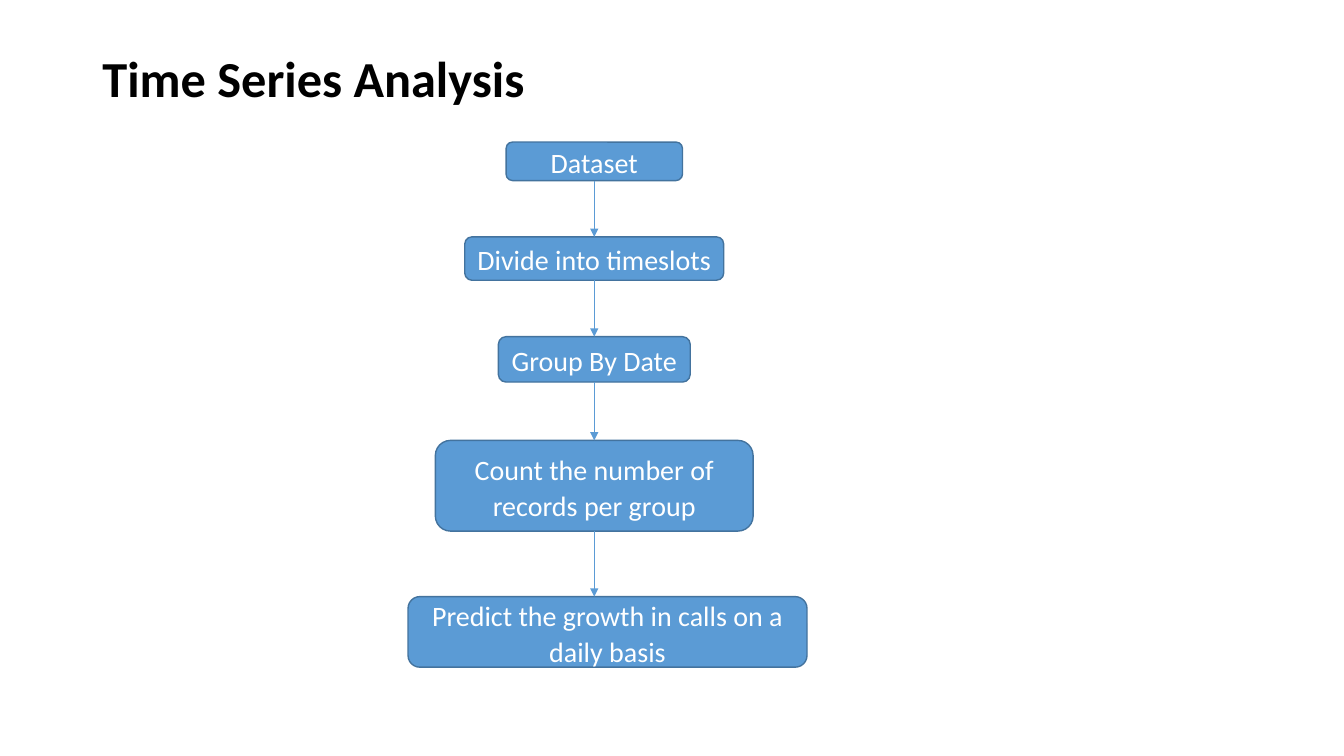
from itertools import pairwise

from lxml import etree
from pptx import Presentation
from pptx.dml.color import RGBColor
from pptx.enum import shapes, text
from pptx.oxml import ns
from pptx.util import Pt

HUES = {"fill": "5B9BD5", "edge": "43739E", "title": "000000", "label": "FFFFFF"}
ALT = shapes.MSO_SHAPE.FLOWCHART_ALTERNATE_PROCESS
ROUND = shapes.MSO_SHAPE.ROUNDED_RECTANGLE
AXIS = 424.5  # centre line of the flow

# label, shape, centre, top, width, height, space before
STEPS = [
    ("Dataset", ALT, AXIS, 101.5, 126, 27.5, 10),
    ("Divide into timeslots", ALT, AXIS, 169.2, 185, 31, 0),
    ("Group By Date", ROUND, AXIS, 240.5, 137, 32.4, 0),
    ("Count the number of records per group", ROUND, AXIS, 314.6, 227, 64.8, 0),
    ("Predict the growth in calls on a daily basis", ALT, 434, 426.2, 285, 50.4, 0),
]


def hue(name):
    return RGBColor.from_string(HUES[name])


def apply(item, style):
    for key, value in style.items():
        setattr(item, key, value)


def write(shape, words, font, para):
    frame = shape.text_frame
    apply(frame, {"text": words, "word_wrap": True,
                  "auto_size": text.MSO_AUTO_SIZE.NONE,
                  "vertical_anchor": text.MSO_ANCHOR.MIDDLE})
    line = frame.paragraphs[0]
    apply(line, para)
    run = line.runs[0]
    apply(run.font, {"name": "Calibri", "size": Pt(font["size"]), "bold": font["bold"]})
    run.font.color.rgb = hue(font["hue"])


def add_title(slide, words):
    title = slide.shapes.title
    apply(title, {"left": Pt(66), "top": Pt(29), "width": Pt(828), "height": Pt(57.6)})
    write(title, words, {"size": 36, "bold": True, "hue": "title"},
          {"alignment": text.PP_ALIGN.LEFT, "line_spacing": 0.9})


def add_step(slide, words, kind, mid, top, width, height, before):
    box = slide.shapes.add_shape(kind, Pt(mid - width / 2), Pt(top), Pt(width), Pt(height))
    box.shadow.inherit = False
    box.fill.solid()
    box.fill.fore_color.rgb = hue("fill")
    box.line.color.rgb = hue("edge")
    box.line.width = Pt(1)
    write(box, words, {"size": 20, "bold": False, "hue": "label"},
          {"alignment": text.PP_ALIGN.CENTER, "line_spacing": 1.07,
           "space_before": Pt(before), "space_after": Pt(8)})
    return box


def add_arrow(slide, start, end):
    """Draw a vertical arrow, joined to end only if its top middle is on the axis."""
    arrow = slide.shapes.add_connector(
        shapes.MSO_CONNECTOR.STRAIGHT, Pt(AXIS), start.top + start.height, Pt(AXIS), end.top)
    arrow.begin_connect(start, 2)
    if abs(end.left + end.width / 2 - Pt(AXIS)) < Pt(1):
        arrow.end_connect(end, 0)
    arrow.line.color.rgb = hue("fill")
    arrow.line.width = Pt(0.5)
    etree.SubElement(arrow.line._get_or_add_ln(), ns.qn("a:tailEnd"), type="triangle")
    etree.SubElement(arrow._element.spPr, ns.qn("a:effectLst"))


def main():
    deck = Presentation()
    apply(deck, {"slide_width": Pt(960), "slide_height": Pt(540)})
    slide = deck.slides.add_slide(deck.slide_layouts.get_by_name("Title Only"))
    add_title(slide, "Time Series Analysis")
    boxes = [add_step(slide, *step) for step in STEPS]
    for start, end in pairwise(boxes):
        add_arrow(slide, start, end)
    deck.save("out.pptx")


if __name__ == "__main__":
    main()
